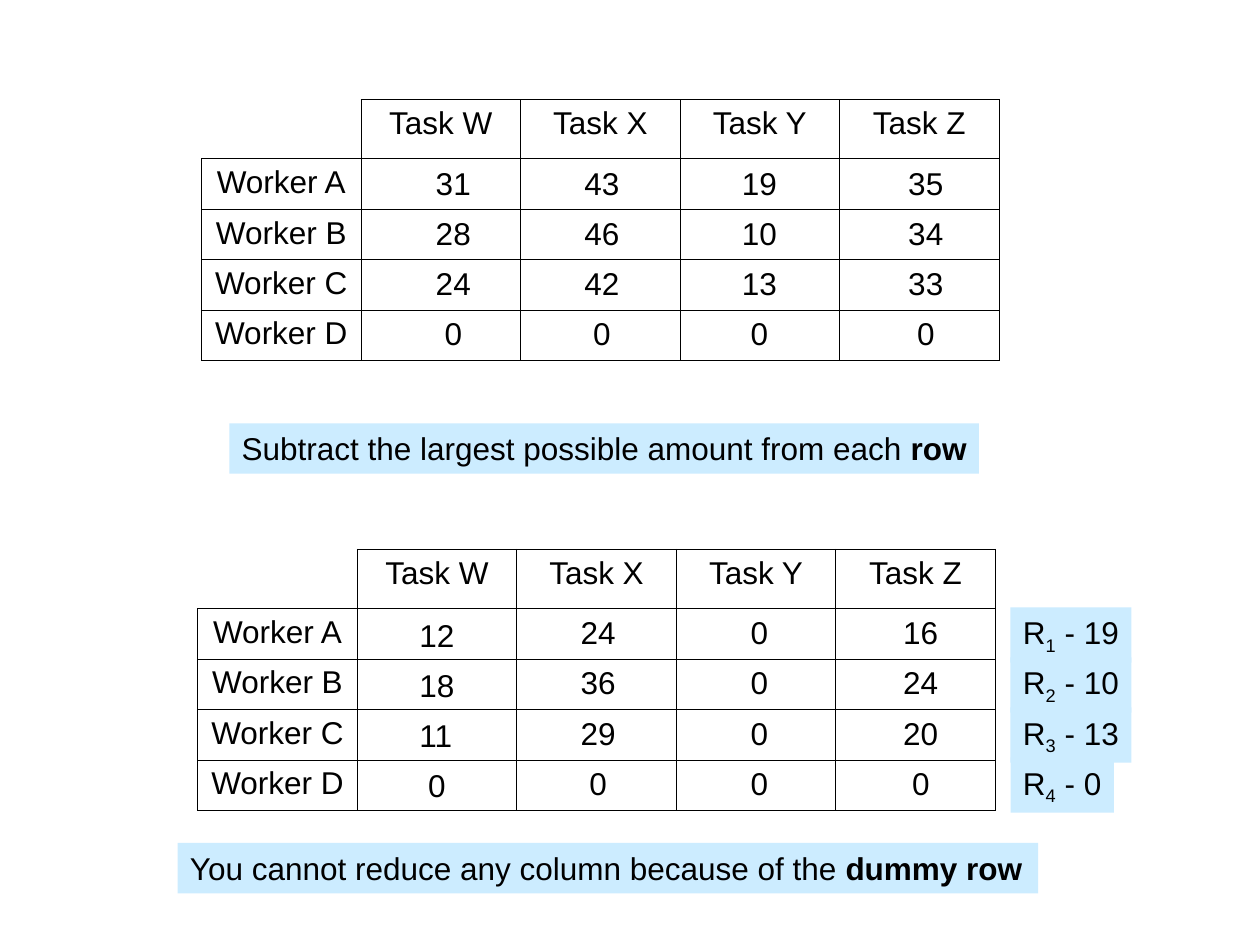
from lxml import etree
from pptx import Presentation
from pptx.dml.color import RGBColor
from pptx.enum.shapes import MSO_SHAPE
from pptx.enum.text import MSO_ANCHOR, MSO_AUTO_SIZE, PP_ALIGN
from pptx.oxml.ns import qn
from pptx.util import Inches, Pt

RECT = MSO_SHAPE.RECTANGLE
TOP = MSO_ANCHOR.TOP
GROW = MSO_AUTO_SIZE.SHAPE_TO_FIT_TEXT
LEFT, MID = PP_ALIGN.LEFT, PP_ALIGN.CENTER
BLACK = RGBColor(0, 0, 0)
SKY = RGBColor(0xCC, 0xEC, 0xFF)
FONT = "Arial"
UNIT = Inches(0.1)
COLS, ROWS = 100, 75
WIDE, HEAD, ROW = 12.66, 4.7, 4
STEP = 3.97
TASKS = ["Task W", "Task X", "Task Y", "Task Z"]
CREW = ["Worker A", "Worker B", "Worker C", "Worker D"]
COSTS = [(31, 43, 19, 35), (28, 46, 10, 34), (24, 42, 13, 33), (0, 0, 0, 0)]
LEFTS = [(12, 24, 0, 16), (18, 36, 0, 24), (11, 29, 0, 20), (0, 0, 0, 0)]
CUTS = [19, 10, 13, 0]


def grid(*cells):
    """Turn grid counts into slide lengths."""
    return [round(cell * UNIT) for cell in cells]


def write(frame, *parts, align=LEFT, size=18):
    """Write parts, each a string or a (string, style) pair, as one paragraph."""
    para = frame.paragraphs[0]
    para.alignment = align
    for part in parts:
        text, style = part if isinstance(part, tuple) else (part, "")
        run = para.add_run()
        run.text = text
        run.font.name, run.font.size = FONT, Pt(size)
        run.font.color.rgb = BLACK
        if style == "bold":
            run.font.bold = True
        if style == "sub":
            run.font._element.set("baseline", "-25000")


def fit(frame):
    """Let a box grow with its single unwrapped line."""
    frame.word_wrap = False
    frame.auto_size = GROW
    frame.vertical_anchor = TOP


def label(slide, box, *parts):
    """Place a line of text on a sky-blue panel."""
    panel = slide.shapes.add_shape(RECT, *grid(*box))
    panel.shadow.inherit = False
    panel.fill.solid()
    panel.fill.fore_color.rgb = SKY
    panel.line.fill.background()
    fit(panel.text_frame)
    write(panel.text_frame, *parts)


def edge(cell, sides):
    """Draw thin black borders on the named sides of a cell."""
    props = cell._tc.get_or_add_tcPr()
    for side in "LRTB":
        shown = side in sides
        line = etree.SubElement(props, qn(f"a:ln{side}"), w=str(Pt(0.45) if shown else 0))
        if shown:
            paint = etree.SubElement(line, qn("a:solidFill"))
            etree.SubElement(paint, qn("a:srgbClr"), val=str(BLACK))
        else:
            etree.SubElement(line, qn("a:noFill"))
    cell.fill.background()


def table(slide, left, top):
    """Place the empty matrix with its task and worker headings."""
    rows, cols = len(CREW) + 1, len(TASKS) + 1
    box = grid(left, top, WIDE * cols, HEAD + ROW * len(CREW))
    matrix = slide.shapes.add_table(rows, cols, *box).table
    matrix.first_row = matrix.horz_banding = False
    for col in matrix.columns:
        col.width = grid(WIDE)[0]
    for i, row in enumerate(matrix.rows):
        row.height = grid(ROW if i else HEAD)[0]
        for j, cell in enumerate(row.cells):
            edge(cell, "LRTB" if i or j else "RB")
            if i and not j:
                write(cell.text_frame, CREW[i - 1], align=MID)
            if j and not i:
                write(cell.text_frame, TASKS[j - 1], align=MID)


def values(slide, top, mids, drops, data):
    """Place the numbers around the middle of each column."""
    for i, row in enumerate(data):
        for mid, drop, value in zip(mids, drops, row):
            wide = 2 + 1.4 * len(str(value))
            box = grid(mid - wide / 2, top + drop + i * STEP, wide, ROW)
            frame = slide.shapes.add_textbox(*box).text_frame
            fit(frame)
            write(frame, str(value))


def cuts(slide, left, top):
    """Place the amount taken from each row beside the matrix."""
    for i, cut in enumerate(CUTS):
        wide = 6.8 + 1.4 * len(str(cut))
        box = left, top + i * STEP, wide, 4.4
        label(slide, box, "R", (str(i + 1), "sub"), f" - {cut}")


def main():
    """Build the slide."""
    deck = Presentation()
    deck.slide_width, deck.slide_height = grid(COLS, ROWS)
    slide = deck.slides.add_slide(deck.slide_layouts[6])
    label(slide, (14.1, 66.9, 68.3, ROW),
          "You cannot reduce any column because of the", (" dummy row", "bold"))
    table(slide, 16, 7.9)
    values(slide, 12.5, (36, 47.8, 60.3, 73.5), (0, 0, 0, 0), COSTS)
    table(slide, 15.7, 43.6)
    values(slide, 48.2, (34.7, 47.5, 60.3, 73.1), (0.2, 0, 0, 0), LEFTS)
    cuts(slide, 80.2, 48.2)
    label(slide, (18.2, 33.6, 59.5, ROW),
          "Subtract the largest possible amount from each ", ("row", "bold"))
    deck.save("out.pptx")


if __name__ == "__main__":
    main()
